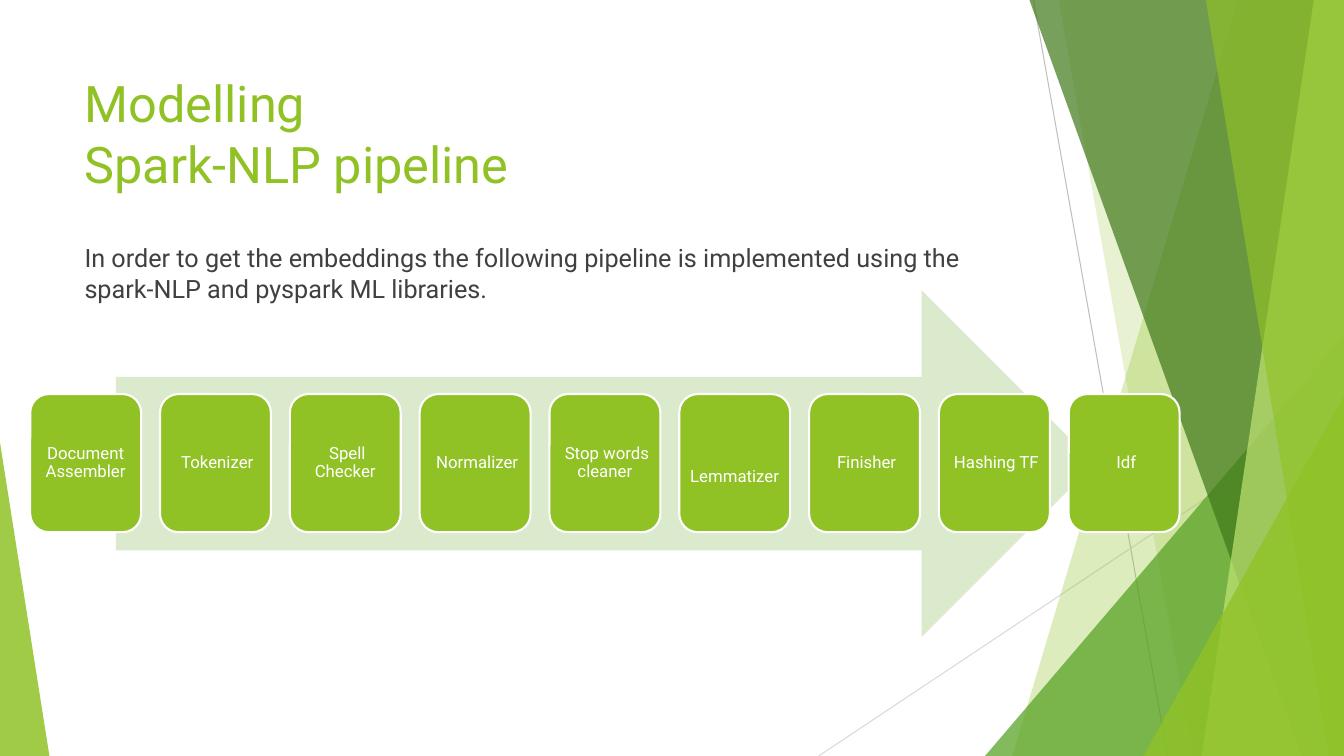
"""Build the slide that shows the text pipeline as a row of steps on an arrow."""
from lxml.etree import SubElement as Sub
from pptx import Presentation
from pptx.dml.color import RGBColor as Rgb
from pptx.enum.shapes import MSO_CONNECTOR as Link, MSO_SHAPE as Kind
from pptx.enum.text import MSO_ANCHOR as Anchor, PP_ALIGN as Align
from pptx.oxml.ns import qn
from pptx.util import Inches, Pt

HUES = {
    "lime": "90C226", "leaf": "54A021", "moss": "3F7819", "pale": "C0E474",
    "mint": "DBE9CD", "text": "404040", "white": "FFFFFF",
    "grey": "BFBFBF", "light": "D9D9D9",
}
FONT = "Roboto"
WIDE, HIGH = 13.33, 7.5
STEPS = [
    "Document Assembler", " Tokenizer", " Spell Checker", " Normalizer",
    " Stop words cleaner", "\vLemmatizer", " Finisher", " Hashing TF", " Idf",
]
FIRST, LAST = 0.3, 10.6


def hue(name):
    return Rgb.from_string(HUES[name])


def paint(shape, name, alpha=100):
    shape.shadow.inherit = False
    shape.line.fill.background()
    shape.fill.solid()
    shape.fill.fore_color.rgb = hue(name)
    if alpha < 100:
        color = shape.fill._xPr.find(qn("a:solidFill"))[0]
        Sub(color, qn("a:alpha"), val=str(alpha * 1000))


def add_line(slide, start, end, name):
    ends = [Inches(v) for v in (*start, *end)]
    line = slide.shapes.add_connector(Link.STRAIGHT, *ends)
    line.line.color.rgb = hue(name)
    line.line.width = Pt(0.75)
    Sub(line._element.spPr, qn("a:effectLst"))


def add_band(slide, top, low, name, alpha):
    """Fill from a slanted left edge to the right side of the slide."""
    form = slide.shapes.build_freeform(Inches(top), 0)
    rest = [(WIDE, 0), (WIDE, HIGH), (low, HIGH)]
    form.add_line_segments([(Inches(x), Inches(y)) for x, y in rest])
    paint(form.convert_to_shape(), name, alpha)


def add_shape(slide, kind, box, name, alpha=100):
    shape = slide.shapes.add_shape(kind, *[Inches(v) for v in box])
    paint(shape, name, alpha)
    return shape


def add_wedge(slide, box, peak, name, alpha):
    wedge = add_shape(slide, Kind.ISOSCELES_TRIANGLE, box, name, alpha)
    wedge.adjustments[0] = peak


def style(para, size, name):
    for run in para.runs:
        run.font.size = Pt(size)
        run.font.name = FONT
        run.font.color.rgb = hue(name)


def add_text(slide, box, text, size, name):
    frame = slide.shapes.add_textbox(*[Inches(v) for v in box]).text_frame
    frame.word_wrap = True
    para = frame.paragraphs[0]
    para.text = text
    style(para, size, name)
    return para


def add_step(slide, left, text):
    card = add_shape(slide, Kind.ROUNDED_RECTANGLE, (left, 3.91, 1.1, 1.37), "lime")
    card.line.color.rgb = hue("white")
    card.line.width = Pt(1.5)
    frame = card.text_frame
    frame.word_wrap = True
    frame.vertical_anchor = Anchor.MIDDLE
    frame.margin_left = frame.margin_right = Inches(0.04)
    frame.margin_top = frame.margin_bottom = Inches(0.04)
    para = frame.paragraphs[0]
    para.text = text
    para.alignment = Align.CENTER
    para.line_spacing = 0.9
    style(para, 12, "white")


def add_decor(slide):
    add_line(slide, (10.25, 0), (11.58, HIGH), "grey")
    add_line(slide, (WIDE, 4.03), (8.12, HIGH), "light")
    add_band(slide, 12.28, 10.04, "lime", 30)
    add_band(slide, 10.5, 11.83, "lime", 20)
    add_wedge(slide, (9.77, 3.33, 3.56, 4.17), 1, "leaf", 72)
    add_band(slide, 10.21, 12.91, "moss", 70)
    add_band(slide, 13.03, 11.92, "pale", 70)
    add_band(slide, 11.96, 13.18, "lime", 65)
    add_wedge(slide, (11.34, 3.93, 1.99, 3.57), 1, "lime", 80)
    add_wedge(slide, (0, 4.39, 0.49, 3.11), 0, "lime", 85)


def main():
    deck = Presentation()
    deck.slide_width, deck.slide_height = Inches(WIDE), Inches(HIGH)
    slide = deck.slides.add_slide(deck.slide_layouts[6])
    add_decor(slide)
    add_text(slide, (0.74, 0.67, 9.4, 1.44),
             "Modelling \vSpark-NLP pipeline", 36, "lime")
    body = add_text(slide, (0.74, 2.36, 9.4, 4.24),
                    "In order to get the embeddings the following pipeline is "
                    "implemented using the spark-NLP and pyspark ML libraries.",
                    18, "text")
    body.space_before = Pt(10)
    add_shape(slide, Kind.RIGHT_ARROW, (1.15, 2.88, 9.71, 3.44), "mint")
    pitch = (LAST - FIRST) / (len(STEPS) - 1)
    for i, text in enumerate(STEPS):
        add_step(slide, FIRST + i * pitch, text)
    deck.save("out.pptx")


if __name__ == "__main__":
    main()
